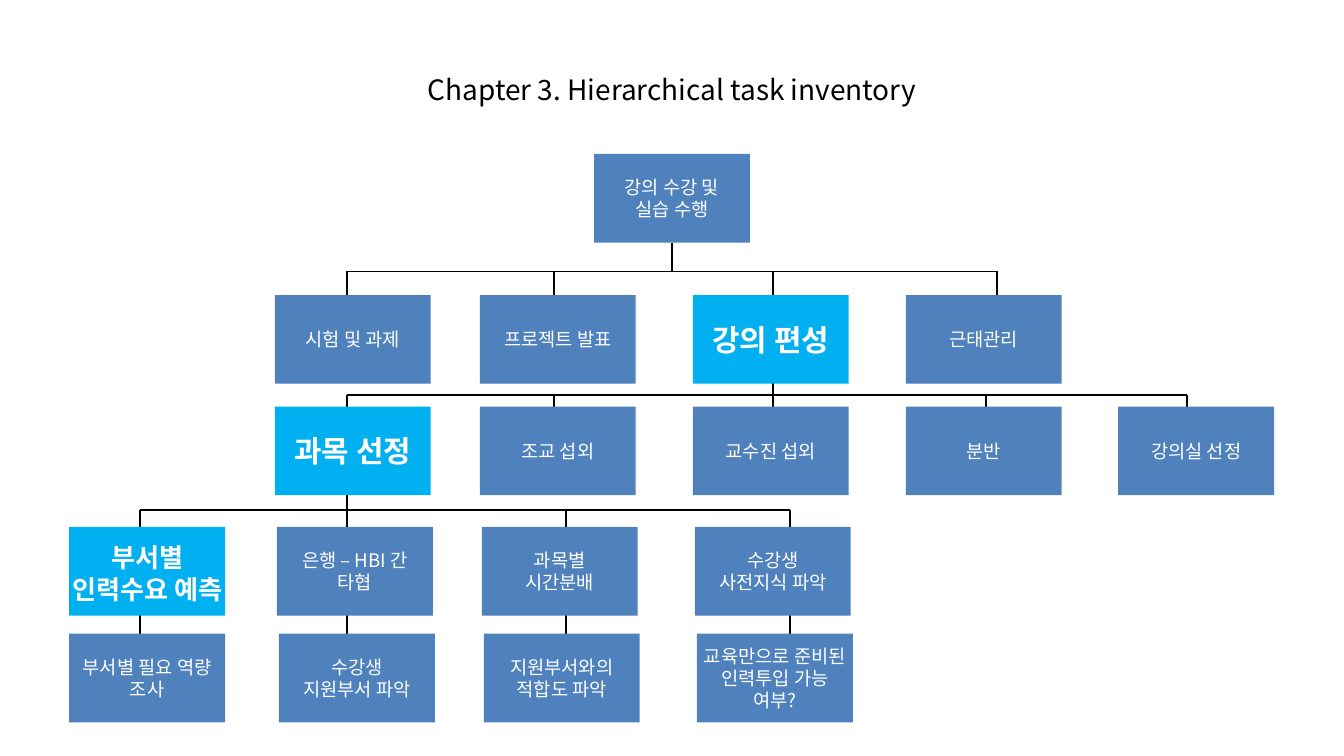
from lxml.etree import SubElement as Sub
from pptx import Presentation
from pptx.dml.color import RGBColor as Rgb
from pptx.enum.shapes import MSO_CONNECTOR as Link, MSO_SHAPE as Form
from pptx.enum.text import MSO_ANCHOR as Anchor, MSO_AUTO_SIZE as Fit, PP_ALIGN as Align
from pptx.oxml.ns import qn
from pptx.util import Inches, Pt

FONT = "Noto Sans CJK KR"
HUE = {"box": "4F81BD", "key": "00B0F0", "ink": "000000", "white": "FFFFFF"}

# Grid of 20 columns by 11.25 rows, one inch each
WIDE, HIGH = 20, 11.25
COLS = [1.03, 4.09, 7.14, 10.31, 13.48, 16.64]
BOX_W, BOX_H = 2.32, 1.32
DROP = 0.5

# Each level: top row, first column, shift of the later columns, (text, key size)
LEVELS = [
    (4.39, 1, 0, [("시험 및 과제", 0), ("프로젝트 발표", 0), ("강의 편성", 32), ("근태관리", 0)]),
    (6.05, 1, 0, [("과목 선정", 32), ("조교 섭외", 0), ("교수진 섭외", 0), ("분반", 0),
                  ("강의실 선정", 0)]),
    (7.84, 0, 0.03, [("부서별 인력수요 예측", 28), ("은행 – HBI 간 타협", 0),
                     ("과목별\n시간분배", 0), ("수강생\n사전지식 파악", 0)]),
    (9.43, 0, 0.06, [("부서별 필요 역량 조사", 0), ("수강생\n지원부서 파악", 0),
                     ("지원부서와의 적합도 파악", 0),
                     ("교육만으로 준비된 인력투입 가능 여부?", 0)]),
]

# Each bus: row, columns of its drops
TASKS = [2.08, 5.17, 8.42, 11.75]
BUSES = [
    (4.04, [5.17, 8.25, 11.5, 14.83]),
    (5.88, [5.17, 8.25, 11.5, 14.67, 17.67]),
    (7.59, TASKS),
]
# Stems from a parent box down to its bus: column, top row, bottom row
STEMS = [(11.5, 5.49, 5.88), (5.17, 7.31, 7.59)]


def write(frame, text, size=20, bold=False, hue="white"):
    frame.word_wrap = True
    frame.vertical_anchor = Anchor.MIDDLE
    for i, line in enumerate(text.split("\n")):
        para = frame.paragraphs[0] if i == 0 else frame.add_paragraph()
        para.alignment = Align.CENTER
        run = para.add_run()
        run.text = line
        font = run.font
        font.name, font.size, font.bold = FONT, Pt(size), bold
        font.color.rgb = Rgb.from_string(HUE[hue])
        Sub(run._r.get_or_add_rPr(), qn("a:ea")).set("typeface", FONT)


def wire(slide, x1, y1, x2, y2):
    line = slide.shapes.add_connector(Link.STRAIGHT, *map(Inches, (x1, y1, x2, y2)))
    line.line.color.rgb = Rgb.from_string(HUE["ink"])
    line.line.width = Pt(2)
    Sub(line._element.spPr, qn("a:effectLst"))
    return line


def node(slide, x, y, text, key=0):
    box = slide.shapes.add_shape(Form.RECTANGLE, *map(Inches, (x, y, BOX_W, BOX_H)))
    box.shadow.inherit = False
    box.fill.solid()
    box.fill.fore_color.rgb = Rgb.from_string(HUE["key" if key else "box"])
    box.line.fill.background()
    if key == 28:  # the longest key label needs the full width
        frame = box.text_frame
        frame.margin_left = frame.margin_right = frame.margin_bottom = 0
    write(box.text_frame, text, size=key or 20, bold=bool(key))
    return box


def title(slide, x, y, w, h):
    box = slide.shapes.add_textbox(*map(Inches, (x, y, w, h)))
    write(box.text_frame, "Chapter 3. Hierarchical task inventory", size=30, hue="ink")
    box.text_frame.auto_size = Fit.SHAPE_TO_FIT_TEXT


def tree(slide, x, y):
    # Wires lie behind the boxes
    for row, drops in BUSES:
        wire(slide, drops[0], row, drops[-1], row)
        for col in drops:
            wire(slide, col, row, col, row + DROP)
    for col, top, end in STEMS:
        wire(slide, col, top, col, end)
    for col in TASKS:
        wire(slide, col, 8.96, col, 8.96 + DROP)

    # Root and its stem
    root = node(slide, x, y, "강의 수강 및\n실습 수행")
    mid = x + BOX_W / 2
    wire(slide, mid, y + BOX_H, mid, BUSES[0][0]).begin_connect(root, 2)

    # Levels of boxes
    for top, first, shift, items in LEVELS:
        for col, (text, key) in enumerate(items, first):
            node(slide, COLS[col] + (shift if col else 0), top, text, key)


def main():
    deck = Presentation()
    deck.slide_width, deck.slide_height = Inches(WIDE), Inches(HIGH)
    slide = deck.slides.add_slide(deck.slide_layouts[6])
    title(slide, COLS[0], 1.02, WIDE - 2 * COLS[0], 0.61)
    tree(slide, (WIDE - BOX_W) / 2, 2.29)
    deck.save("out.pptx")


if __name__ == "__main__":
    main()
